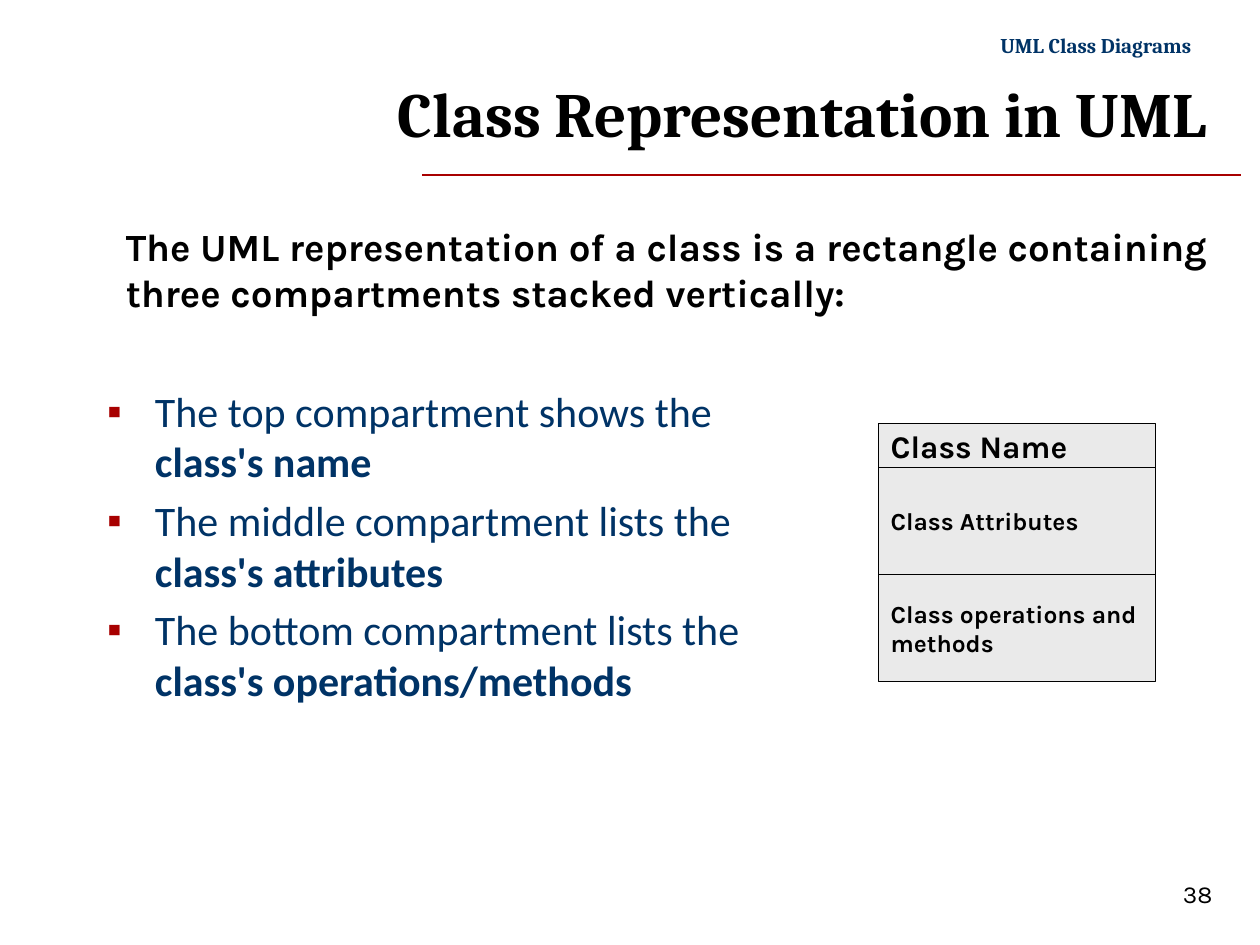
from typing import NamedTuple

from lxml import etree
from pptx import Presentation
from pptx import util as u
from pptx.dml.color import RGBColor
from pptx.enum import shapes, text
from pptx.oxml import ns

BLACK = RGBColor(0, 0, 0)
NAVY = RGBColor(0x00, 0x33, 0x66)
RED = RGBColor(0xA8, 0x00, 0x00)
GREY = RGBColor(0xEA, 0xEA, 0xEA)
RIGHT = text.PP_ALIGN.RIGHT
LEFT = text.PP_ALIGN.LEFT
MID = text.MSO_ANCHOR.MIDDLE
TOP = text.MSO_ANCHOR.TOP


class Font(NamedTuple):
    name: str
    size: int
    color: RGBColor
    bold: bool = False


class Label(NamedTuple):
    words: str
    box: tuple[float, float, float, float]
    font: Font
    align: text.PP_ALIGN = LEFT
    wrap: bool = True


class Part(NamedTuple):
    lines: tuple[str, ...]
    size: int
    height: float


def add_run(para, words: str, font: Font) -> None:
    run = para.add_run()
    run.text = words
    run.font.name = font.name
    run.font.size = u.Pt(font.size)
    run.font.bold = font.bold
    run.font.color.rgb = font.color


def place(shape, box: tuple[float, float, float, float]) -> None:
    shape.left, shape.top, shape.width, shape.height = map(u.Inches, box)


def set_frame(frame, anchor, wrap: bool = True) -> None:
    frame.auto_size = text.MSO_AUTO_SIZE.NONE
    frame.vertical_anchor = anchor
    frame.word_wrap = wrap


def add_label(slide, label: Label) -> None:
    shape = slide.shapes.add_textbox(*map(u.Inches, label.box))
    set_frame(shape.text_frame, TOP, label.wrap)
    para = shape.text_frame.paragraphs[0]
    para.alignment = label.align
    add_run(para, label.words, label.font)


def set_bullet(para) -> None:
    props = para._p.get_or_add_pPr()
    props.set("marL", str(u.Inches(0.78)))
    props.set("indent", str(u.Inches(-0.38)))
    color = etree.SubElement(props, ns.qn("a:buClr"))
    etree.SubElement(color, ns.qn("a:srgbClr"), val=str(RED))
    etree.SubElement(props, ns.qn("a:buSzPct"), val="99000")
    etree.SubElement(props, ns.qn("a:buFont"), typeface="Arial")
    etree.SubElement(props, ns.qn("a:buChar"), char="▪")


def add_part(slide, part: Part, top: float) -> None:
    box = slide.shapes.add_shape(
        shapes.MSO_SHAPE.RECTANGLE,
        *map(u.Inches, (6.97, top, 2.2, part.height)))
    box.shadow.inherit = False
    box.fill.solid()
    box.fill.fore_color.rgb = GREY
    box.line.color.rgb = BLACK
    box.line.width = u.Pt(0.75)
    frame = box.text_frame
    set_frame(frame, MID)
    for row, line in enumerate(part.lines):
        para = frame.add_paragraph() if row else frame.paragraphs[0]
        para.alignment = LEFT
        add_run(para, line, Font("Karla", part.size, BLACK, True))


deck = Presentation()
deck.slide_width, deck.slide_height = u.Inches(10), u.Inches(7.5)
slide = deck.slides.add_slide(deck.slide_layouts[1])

# Rule under the title
rule = slide.shapes.add_connector(
    shapes.MSO_CONNECTOR.STRAIGHT, *map(u.Inches, (3.35, 1.39, 9.85, 1.39)))
rule.line.color.rgb = RED
rule.line.width = u.Pt(0.75)
etree.SubElement(rule._element.spPr, ns.qn("a:effectLst"))

# Title
title = slide.shapes.title
place(title, (2.01, 0.52, 7.67, 0.75))
set_frame(title.text_frame, MID)
head = title.text_frame.paragraphs[0]
head.alignment = RIGHT
add_run(head, "Class Representation in UML", Font("Cambria", 36, BLACK, True))

# Running header, lead sentence and page number
LABELS = (
    Label("UML Class Diagrams ", (7.8, 0.21, 1.79, 0.3),
          Font("Cambria", 12, NAVY, True), RIGHT, False),
    Label("The UML representation of a class is a rectangle containing "
          "three compartments stacked vertically:",
          (0.9, 1.72, 8.82, 0.84), Font("Karla", 22, BLACK, True)),
    Label("38", (9.29, 6.93, 0.71, 0.34), Font("Karla", 14, BLACK)),
)
for label in LABELS:
    add_label(slide, label)

# Bullet list
POINTS = (
    ("The top compartment shows the ", "class's name"),
    ("The middle compartment lists the ", "class's attributes"),
    ("The bottom compartment lists the ", "class's operations/methods"),
)
body = slide.placeholders[1]
place(body, (0.35, 3.01, 6.3, 2.77))
set_frame(body.text_frame, TOP)
for row, (plain, strong) in enumerate(POINTS):
    para = (body.text_frame.add_paragraph() if row
            else body.text_frame.paragraphs[0])
    para.level = 1
    set_bullet(para)
    add_run(para, plain, Font("Calibri", 24, NAVY))
    add_run(para, strong, Font("Calibri", 24, NAVY, True))

# Class box: stacked compartments
PARTS = (
    Part(("Class Name",), 18, 0.35),
    Part(("Class Attributes",), 14, 0.85),
    Part(("Class operations and ", "methods"), 14, 0.85),
)
top = 3.36
for part in PARTS:
    add_part(slide, part, top)
    top += part.height

deck.save("out.pptx")
